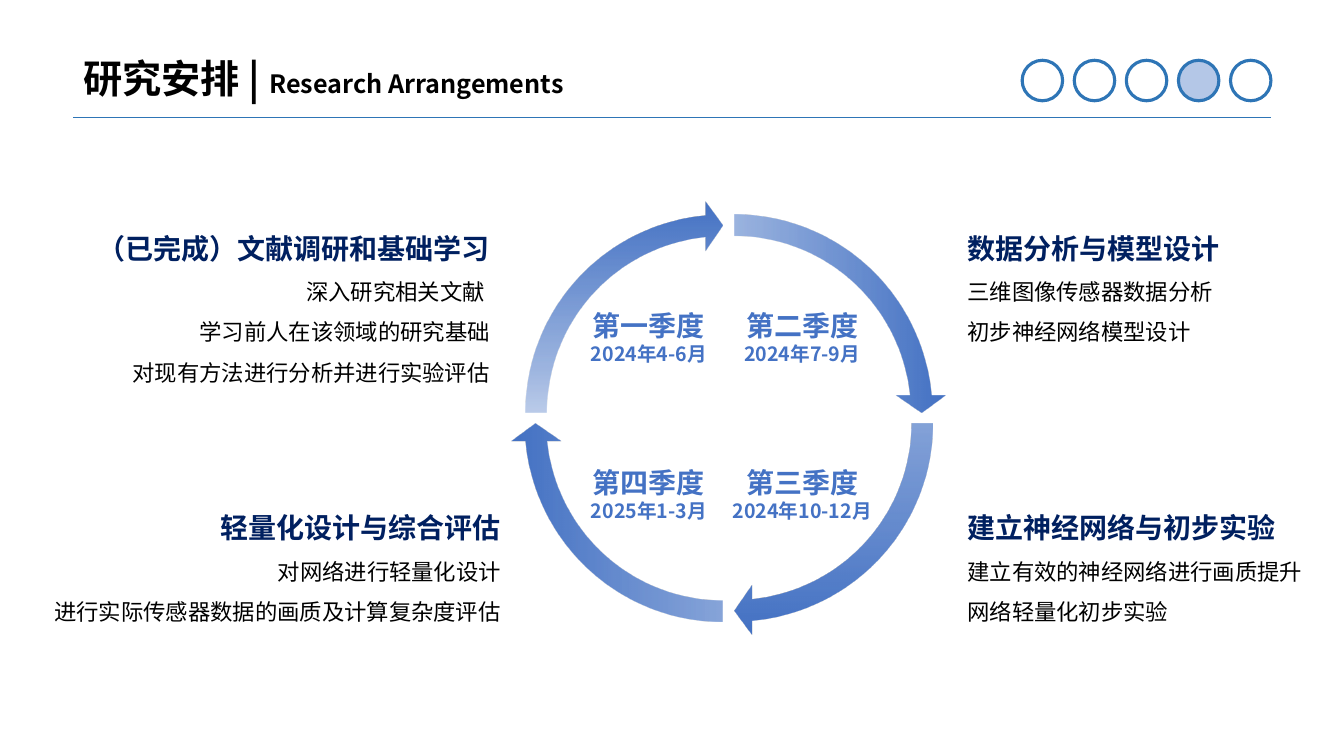
from collections import namedtuple

from lxml import etree
from pptx import Presentation
from pptx.dml.color import RGBColor
from pptx.enum.shapes import MSO_CONNECTOR, MSO_SHAPE
from pptx.enum.text import MSO_ANCHOR, PP_ALIGN
from pptx.oxml.ns import qn
from pptx.util import Cm, Pt

OVAL, ARC_ARROW = MSO_SHAPE.OVAL, MSO_SHAPE.CIRCULAR_ARROW
STRAIGHT = MSO_CONNECTOR.STRAIGHT
TOP, MIDDLE = MSO_ANCHOR.TOP, MSO_ANCHOR.MIDDLE
LEFT, CENTER, RIGHT = PP_ALIGN.LEFT, PP_ALIGN.CENTER, PP_ALIGN.RIGHT

FONT = "Noto Sans CJK SC"
BLACK, WHITE, NAVY = "000000", "FFFFFF", "002060"
BLUE, RULE_BLUE, PALE_BLUE = "4472C4", "2E75B6", "B4C7E7"

Box = namedtuple("Box", "left top width height")  # centimetres
Span = namedtuple("Span", "text size color bold")
Quarter = namedtuple("Quarter", "name months column row start angle stops")

# Clockwise from the top right. Each stop is position, colour and opacity in percent.
QUARTERS = [
    Quarter("第二季度", "2024年7-9月", 1, 0, 162, 0,
            [(0, WHITE, 0), (47, BLUE, 50), (100, BLUE, 100)]),
    Quarter("第三季度", "2024年10-12月", 1, 1, 0, 90,
            [(0, WHITE, 0), (28, BLUE, 50), (100, BLUE, 100)]),
    Quarter("第四季度", "2025年1-3月", 0, 1, 54, 0,
            [(0, BLUE, 100), (69, BLUE, 50), (100, WHITE, 0)]),
    Quarter("第一季度", "2024年4-6月", 0, 0, 108, 90,
            [(0, BLUE, 100), (41, BLUE, 50), (100, WHITE, 0)]),
]

STAGES = [
    (Box(0.53, 5.28, 12.07, 4.5), RIGHT, "（已完成）文献调研和基础学习",
     ["深入研究相关文献 ", "学习前人在该领域的研究基础", "对现有方法进行分析并进行实验评估"]),
    (Box(24.13, 5.28, 9.32, 3.48), LEFT, "数据分析与模型设计",
     ["三维图像传感器数据分析", "初步神经网络模型设计"]),
    (Box(24.13, 12.32, 9.32, 3.48), LEFT, "建立神经网络与初步实验",
     ["建立有效的神经网络进行画质提升", "网络轻量化初步实验"]),
    (Box(0.81, 12.32, 12.07, 3.48), RIGHT, "轻量化设计与综合评估",
     ["对网络进行轻量化设计", "进行实际传感器数据的画质及计算复杂度评估"]),
]


def rgb(color):
    return RGBColor.from_string(color)


def lengths(box):
    return [Cm(value) for value in box]


def add_text(page, box, paragraphs, align=LEFT, spacing=1.0, anchor=TOP):
    """Add a text box; each paragraph is a list of spans."""
    frame = page.shapes.add_textbox(*lengths(box)).text_frame
    frame.word_wrap = True
    frame.vertical_anchor = anchor
    for index, spans in enumerate(paragraphs):
        para = frame.paragraphs[0] if index == 0 else frame.add_paragraph()
        para.alignment = align
        para.line_spacing = spacing
        for span in spans:
            run = para.add_run()
            run.text = span.text
            run.font.size = Pt(span.size)
            run.font.bold = span.bold
            run.font.color.rgb = rgb(span.color)
            run.font.name = FONT
            properties = run.font._element
            etree.SubElement(properties, qn("a:ea"), typeface=FONT)


def fill_gradient(shape, stops, angle):
    """Fill with a linear gradient; the angle runs clockwise in degrees."""
    shape.fill.gradient()
    shape.fill.gradient_angle = -angle % 360
    stop_list = next(shape._element.spPr.iter(qn("a:gsLst")))
    for stop in list(stop_list):
        stop_list.remove(stop)
    for position, color, opacity in stops:
        stop = etree.SubElement(stop_list, qn("a:gs"), pos=str(position * 1000))
        tone = etree.SubElement(stop, qn("a:srgbClr"), val=color)
        etree.SubElement(tone, qn("a:alpha"), val=str(opacity * 1000))


def add_header(page, box):
    add_text(page, Box(box.left, box.top, box.width, 1.8),
             [[Span("研究安排 | ", 28, BLACK, True),
               Span("Research Arrangements", 18, BLACK, True)]],
             spacing=0.9, anchor=MIDDLE)
    bottom = Cm(box.top + box.height)
    rule = page.shapes.add_connector(
        STRAIGHT, Cm(box.left), bottom, Cm(box.left + box.width), bottom)
    rule.line.color.rgb = rgb(RULE_BLUE)
    rule.line.width = Pt(0.5)
    etree.SubElement(rule._element.spPr, qn("a:effectLst"))


def add_progress(page, box, count, current):
    """Spread circles over the box and fill the current one."""
    pitch = (box.width - box.height) / (count - 1)
    for index in range(count):
        circle = page.shapes.add_shape(OVAL, *lengths(
            Box(box.left + index * pitch, box.top, box.height, box.height)))
        circle.shadow.inherit = False
        circle.line.color.rgb = rgb(RULE_BLUE)
        circle.line.width = Pt(2.25)
        if index == current:
            circle.fill.solid()
            circle.fill.fore_color.rgb = rgb(PALE_BLUE)
        else:
            circle.fill.background()


def add_stage(page, box, align, heading, tasks):
    paragraphs = [[Span(heading, 20, NAVY, True)]]
    paragraphs += [[Span(task, 16, BLACK, False)] for task in tasks]
    add_text(page, box, paragraphs, align, spacing=1.5)


def add_cycle(page, box):
    """Draw the ring of four arrows with a label in each quarter."""
    gap = 0.3
    diameter = box.width - gap
    for quarter in QUARTERS:
        arrow = page.shapes.add_shape(ARC_ARROW, *lengths(
            Box(box.left + quarter.column * gap, box.top + quarter.row * gap,
                diameter, diameter)))
        arrow.shadow.inherit = False
        arrow.line.fill.background()
        settings = [0.051, 3.275, quarter.start + 50.725, quarter.start, 0.059]
        for index, value in enumerate(settings):
            arrow.adjustments[index] = value
        fill_gradient(arrow, quarter.stops, quarter.angle)
    for quarter in QUARTERS:
        label = Box(box.left + 1.24 + quarter.column * 3.86,
                    box.top + 2.6 + quarter.row * 3.96, 4.47, 1.7)
        add_text(page, label, [[Span(quarter.name, 20, BLUE, True)],
                               [Span(quarter.months, 14, BLUE, True)]], CENTER)


def main():
    deck = Presentation()
    deck.slide_width, deck.slide_height = Cm(33.87), Cm(19.05)
    page = deck.slides.add_slide(deck.slide_layouts[6])
    add_header(page, Box(1.85, 1.14, 30.18, 1.81))
    add_progress(page, Box(25.76, 1.52, 6.27, 1.02), count=5, current=3)
    for stage in STAGES:
        add_stage(page, *stage)
    add_cycle(page, Box(12.88, 5.05, 10.97, 10.97))
    deck.save("out.pptx")


if __name__ == "__main__":
    main()
